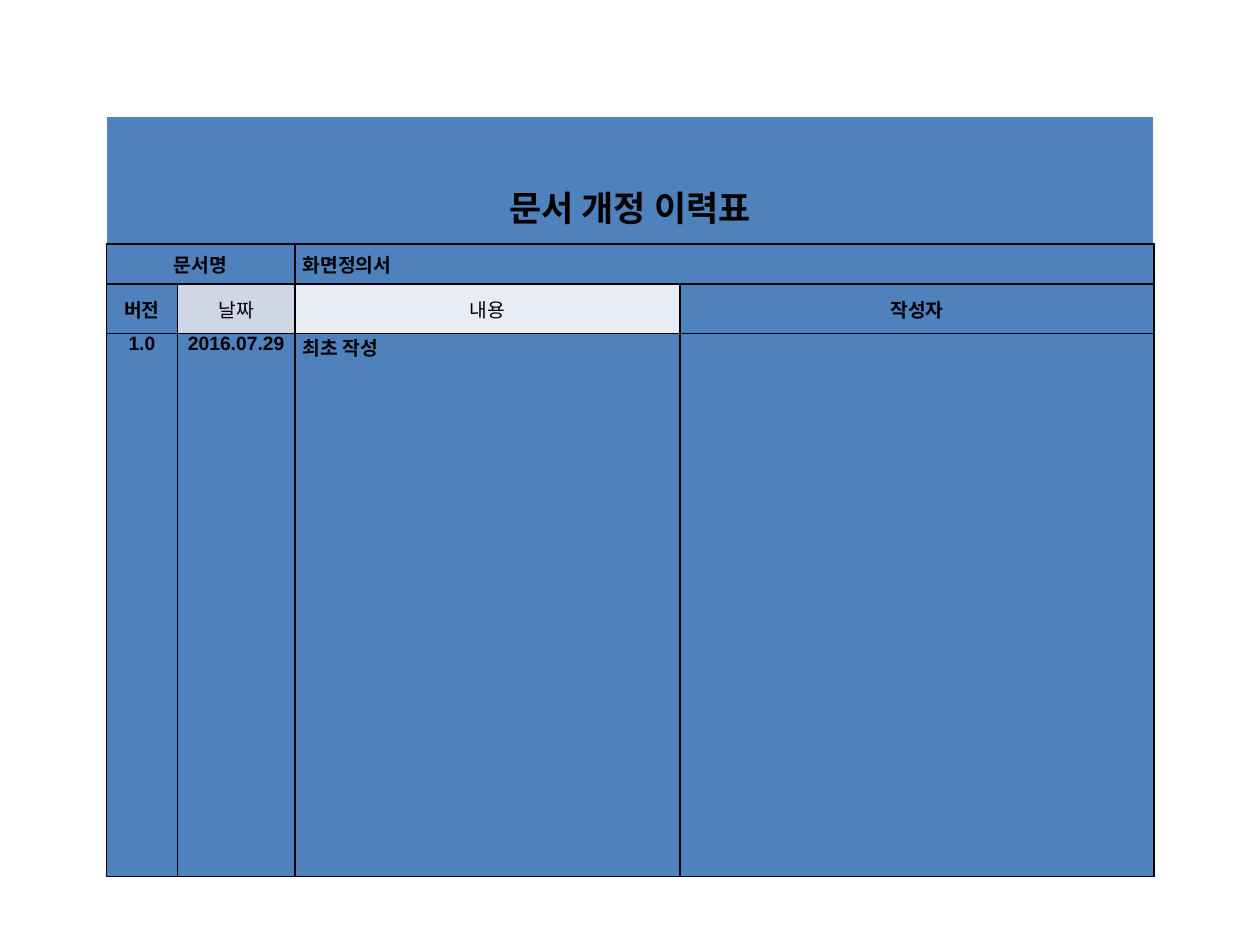
from lxml.etree import SubElement
from pptx import Presentation
from pptx.dml.color import RGBColor
from pptx.enum.text import MSO_ANCHOR as Anchor, PP_ALIGN as Align
from pptx.oxml.ns import qn
from pptx.util import Pt

BLUE, GREY_BLUE, PALE_BLUE = "4F81BD", "CFD7E7", "E8ECF4"
BLACK, WHITE = "000000", "FFFFFF"
COLUMN_WIDTHS = [40.75, 67, 220, 271]
ROW_HEIGHTS = [73.25, 22.75, 28.25, 310.5]
CELL_INSET = 4.5


def colour(hex_code):
    return RGBColor.from_string(hex_code)


def set_borders(cell, outer, bottom=BLACK):
    """Draw 1 pt edges: left, right and top in outer, the lower one in bottom."""
    properties = cell._tc.get_or_add_tcPr()
    edges = {"a:lnL": outer, "a:lnR": outer, "a:lnT": outer, "a:lnB": bottom}
    for position, (tag, edge_colour) in enumerate(edges.items()):
        edge = SubElement(properties, qn(tag), w=str(Pt(1)))
        fill = SubElement(edge, qn("a:solidFill"))
        SubElement(fill, qn("a:srgbClr"), val=edge_colour)
        properties.insert(position, edge)


def style_cell(cell, fill, border):
    cell.fill.solid()
    cell.fill.fore_color.rgb = colour(fill)
    cell.margin_left = cell.margin_right = Pt(CELL_INSET)
    cell.margin_top = cell.margin_bottom = 0
    set_borders(cell, border)


def write(cell, text, size=11, bold=True, align=Align.CENTER,
          anchor=Anchor.MIDDLE, font_name="Arial"):
    cell.text_frame.text = text
    cell.vertical_anchor = anchor
    paragraph = cell.text_frame.paragraphs[0]
    paragraph.alignment = align
    for run in paragraph.runs:
        run.font.size = Pt(size)
        run.font.bold = bold
        run.font.name = font_name
        run.font.color.rgb = colour(BLACK)


def add_history_table(slide):
    history = slide.shapes.add_table(
        len(ROW_HEIGHTS), len(COLUMN_WIDTHS), Pt(60.75), Pt(66.25),
        Pt(sum(COLUMN_WIDTHS)), Pt(sum(ROW_HEIGHTS))).table
    for column, width in zip(history.columns, COLUMN_WIDTHS):
        column.width = Pt(width)
    for row, height in zip(history.rows, ROW_HEIGHTS):
        row.height = Pt(height)

    header_fills = {(2, 1): GREY_BLUE, (2, 2): PALE_BLUE}
    for r in range(len(ROW_HEIGHTS)):
        for c in range(len(COLUMN_WIDTHS)):
            style_cell(history.cell(r, c), header_fills.get((r, c), BLUE),
                       WHITE if r == 0 else BLACK)
    for row, first, last in [(0, 0, 3), (1, 0, 1), (1, 2, 3)]:
        history.cell(row, first).merge(history.cell(row, last))
    return history


def fill_history(history):
    title = history.cell(0, 0)
    write(title, "문서 개정 이력표", size=20, anchor=Anchor.BOTTOM)
    title.margin_bottom = Pt(7)

    write(history.cell(1, 0), "문서명")
    write(history.cell(1, 2), "화면정의서", align=Align.JUSTIFY,
          font_name="Noto Sans CJK KR")

    for c, heading in enumerate(["버전", "날짜", "내용", "작성자"]):
        write(history.cell(2, c), heading, bold=heading not in ("날짜", "내용"))

    for c, entry in enumerate(["1.0", "2016.07.29", "최초 작성"]):
        write(history.cell(3, c), entry, anchor=Anchor.TOP,
              align=Align.JUSTIFY if c == 2 else Align.CENTER)


def main():
    deck = Presentation()
    deck.slide_width, deck.slide_height = Pt(720), Pt(540)
    slide = deck.slides.add_slide(deck.slide_layouts[6])
    fill_history(add_history_table(slide))
    deck.save("out.pptx")


if __name__ == "__main__":
    main()
